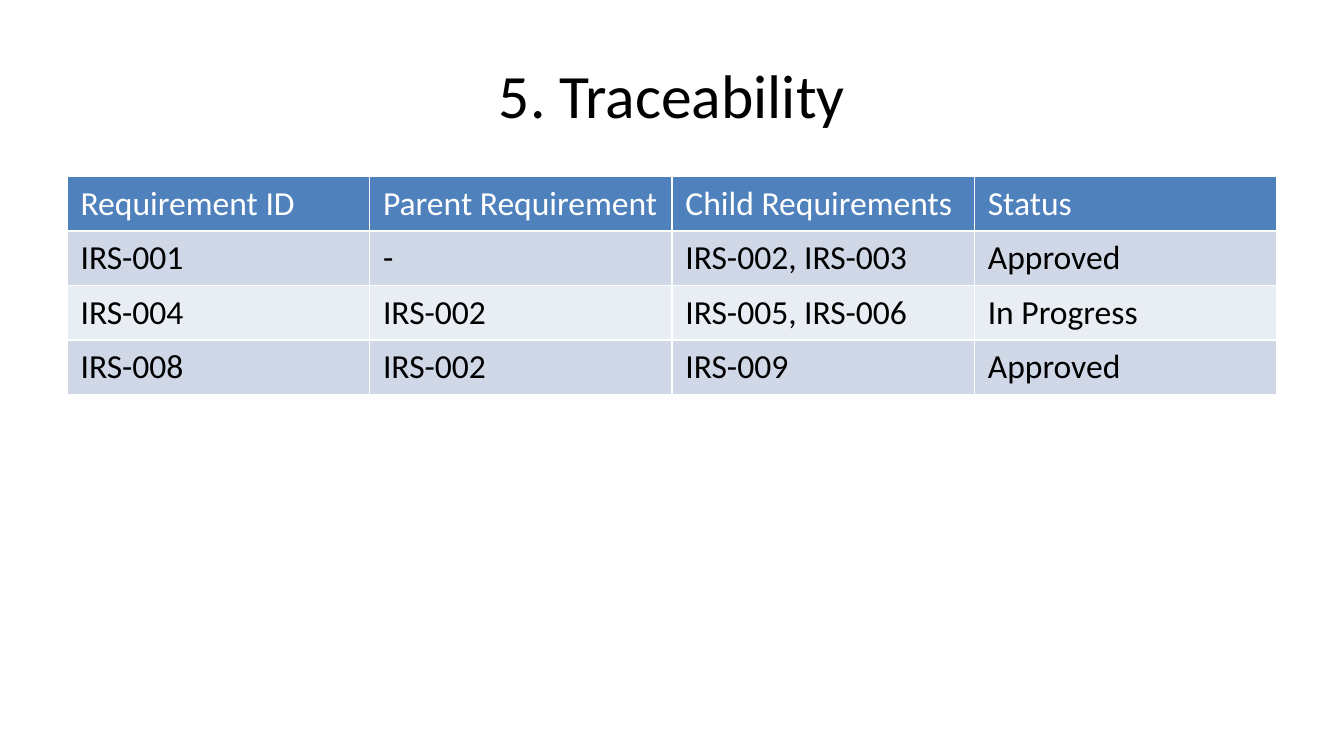
"""Build the requirements traceability slide."""
from dataclasses import dataclass

from pptx import Presentation, util as u
from pptx.dml.color import RGBColor
from pptx.enum import text as t


@dataclass(frozen=True)
class Theme:
    font: str = "Calibri"
    ink: str = "000000"
    pale: str = "FFFFFF"
    head: str = "4F81BD"
    odd: str = "D0D8E8"
    even: str = "E9EDF4"
    title: int = 33
    body: int = 18


@dataclass(frozen=True)
class Box:
    left: int
    top: int
    width: int
    height: int

    def emu(self) -> tuple[u.Emu, ...]:
        return tuple(px(n) for n in (self.left, self.top, self.width, self.height))


@dataclass(frozen=True)
class Trace:
    need: str
    parent: str
    child: str
    status: str

    def cells(self) -> tuple[str, ...]:
        return self.need, self.parent, self.child, self.status


SCALE = 9525
THEME = Theme()
TITLE = Box(48, 22, 864, 90)
GRID = Box(48, 126, 864, 156)
ROWS = (
    Trace("Requirement ID", "Parent Requirement", "Child Requirements", "Status"),
    Trace("IRS-001", "-", "IRS-002, IRS-003", "Approved"),
    Trace("IRS-004", "IRS-002", "IRS-005, IRS-006", "In Progress"),
    Trace("IRS-008", "IRS-002", "IRS-009", "Approved"),
)


def px(n: int) -> u.Emu:
    return u.Emu(n * SCALE)


def write(frame, words: str, *, size: int = THEME.body, color: str = THEME.ink,
          align=t.PP_ALIGN.LEFT) -> None:
    para = frame.paragraphs[0]
    para.alignment = align
    run = para.add_run()
    run.text = words
    run.font.name = THEME.font
    run.font.size = u.Pt(size)
    run.font.bold = False
    run.font.color.rgb = RGBColor.from_string(color)


def draw_title(slide, box: Box, words: str) -> None:
    frame = slide.shapes.add_textbox(*box.emu()).text_frame
    frame.word_wrap = True
    frame.vertical_anchor = t.MSO_ANCHOR.MIDDLE
    write(frame, words, size=THEME.title, align=t.PP_ALIGN.CENTER)


def draw_table(slide, box: Box, rows: tuple[Trace, ...]) -> None:
    cols = len(rows[0].cells())
    table = slide.shapes.add_table(len(rows), cols, *box.emu()).table
    for r, row in enumerate(rows):
        band = THEME.odd if r % 2 else THEME.even
        fill, ink = (band, THEME.ink) if r else (THEME.head, THEME.pale)
        for c, words in enumerate(row.cells()):
            cell = table.cell(r, c)
            cell.fill.solid()
            cell.fill.fore_color.rgb = RGBColor.from_string(fill)
            write(cell.text_frame, words, color=ink)


def main() -> None:
    deck = Presentation()
    deck.slide_width, deck.slide_height = px(960), px(540)
    slide = deck.slides.add_slide(deck.slide_layouts[6])
    draw_title(slide, TITLE, "5. Traceability")
    draw_table(slide, GRID, ROWS)
    deck.save("out.pptx")


if __name__ == "__main__":
    main()
